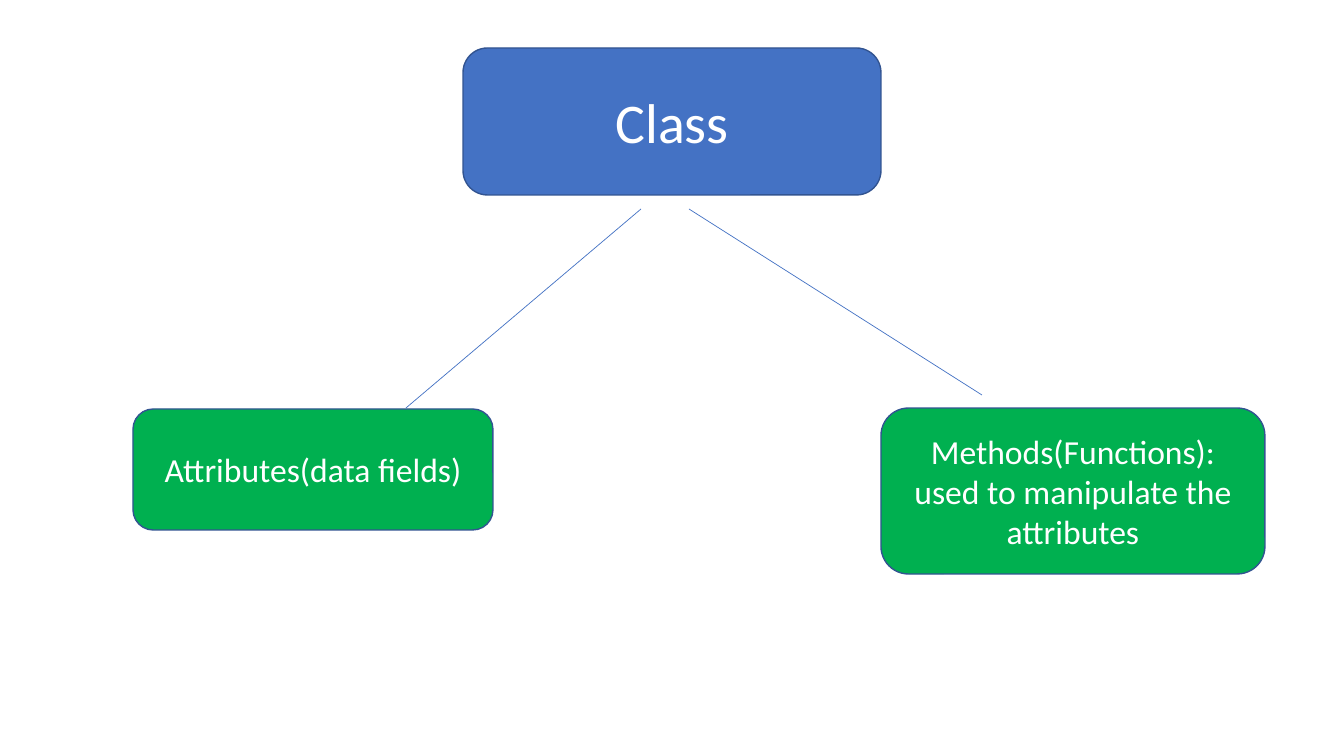
import pptx
import pptx.util
import pptx.dml.color
import pptx.enum.shapes
import pptx.enum.text
import pptx.oxml.ns
import lxml.etree

PX = 914400 / 100.8
COLORS = {"blue": "4472C4", "green": "00B050", "border": "325491", "text": "FFFFFF"}
NODES = [
    ("Class", (330, 0, 418, 147), "blue", 40),
    ("Attributes(data fields)", (0, 361, 360, 121), "green", 24),
    ("Methods(Functions): used to manipulate the attributes", (748, 360, 384, 166), "green", 24),
]
BRANCHES = [(508, 161, 273, 360), (556, 161, 849, 347)]


def px(n):
    return pptx.util.Emu(round(n * PX))


def rgb(name):
    return pptx.dml.color.RGBColor.from_string(COLORS[name])


def set_line(line, color, width):
    line.color.rgb = rgb(color)
    line.width = pptx.util.Pt(width)


def add_node(slide, box, text, fill, size):
    kind = pptx.enum.shapes.MSO_SHAPE.ROUNDED_RECTANGLE
    sp = slide.shapes.add_shape(kind, *map(px, box))
    sp.shadow.inherit = False
    sp.fill.solid()
    sp.fill.fore_color.rgb = rgb(fill)
    set_line(sp.line, "border", 1)
    tf = sp.text_frame
    tf.word_wrap = True
    tf.vertical_anchor = pptx.enum.text.MSO_ANCHOR.MIDDLE
    p = tf.paragraphs[0]
    p.alignment = pptx.enum.text.PP_ALIGN.CENTER
    r = p.add_run()
    r.text = text
    for name, value in {"name": "Calibri", "size": pptx.util.Pt(size)}.items():
        setattr(r.font, name, value)
    r.font.color.rgb = rgb("text")


def add_branch(slide, ends):
    kind = pptx.enum.shapes.MSO_CONNECTOR.STRAIGHT
    cxn = slide.shapes.add_connector(kind, *map(px, ends))
    set_line(cxn.line, "blue", 0.5)
    lxml.etree.SubElement(cxn._element.spPr, pptx.oxml.ns.qn("a:effectLst"))


def class_diagram(slide, x, y):
    for text, (left, top, w, h), fill, size in NODES:
        add_node(slide, (x + left, y + top, w, h), text, fill, size)
    for x1, y1, x2, y2 in BRANCHES:
        add_branch(slide, (x + x1, y + y1, x + x2, y + y2))


def main():
    prs = pptx.Presentation()
    prs.slide_width, prs.slide_height = px(1344), px(756)
    slide = prs.slides.add_slide(prs.slide_layouts[6])
    class_diagram(slide, 133, 48)
    prs.save("out.pptx")


if __name__ == "__main__":
    main()
